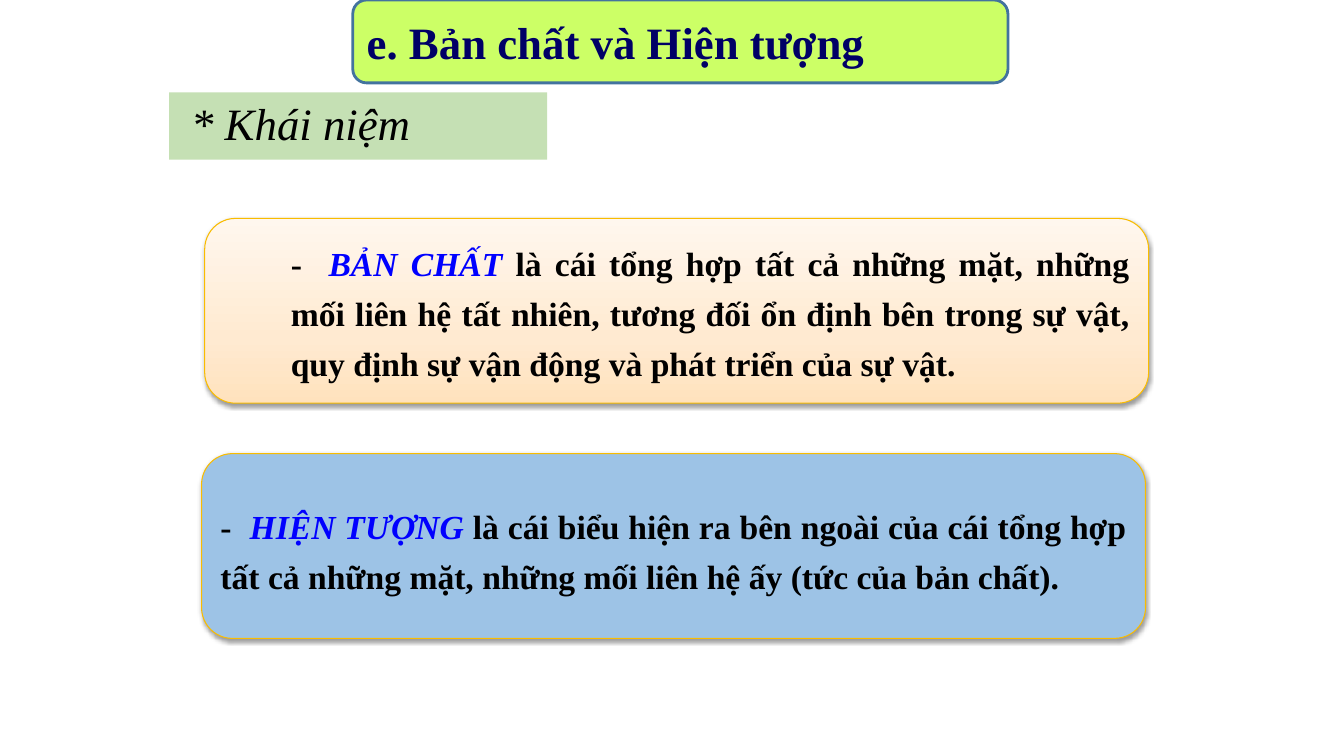
from copy import deepcopy

from lxml.etree import SubElement
from pptx import Presentation
from pptx.dml.color import RGBColor
from pptx.enum.shapes import MSO_SHAPE as Shape
from pptx.enum.text import MSO_ANCHOR as Anchor, PP_ALIGN as Align
from pptx.oxml.ns import qn
from pptx.util import Pt

PX = 9525
FONT = "Times New Roman"
COLORS = {
    "lime": "CCFF66", "outline": "43739E", "navy": "000066", "green": "C5E0B4",
    "gold": "F9BC00", "sky": "9DC3E6", "black": "000000", "blue": "0000FF",
    "peach": "FFE2BD", "cream": "FFEAD1", "ivory": "FFF7EE",
}


def color(name):
    return RGBColor.from_string(COLORS[name])


def add_run(paragraph, text, size, ink, bold=False, italic=False):
    run = paragraph.add_run()
    run.text = text
    run.font.name = FONT
    run.font.size = Pt(size)
    run.font.bold = bold
    run.font.italic = italic
    run.font.color.rgb = color(ink)


presentation = Presentation()
presentation.slide_width = 1280 * PX
presentation.slide_height = 720 * PX
slide = presentation.slides.add_slide(presentation.slide_layouts[5])

banner = slide.shapes.add_shape(Shape.ROUNDED_RECTANGLE, 336 * PX, 0, 624 * PX, 79 * PX)
banner.shadow.inherit = False
banner.fill.solid()
banner.fill.fore_color.rgb = color("lime")
banner.line.color.rgb = color("outline")
banner.line.width = Pt(2)
banner.text_frame.vertical_anchor = Anchor.MIDDLE
paragraph = banner.text_frame.paragraphs[0]
paragraph.alignment = Align.LEFT
add_run(paragraph, "e. Bản chất và Hiện tượng", 32, "navy", bold=True)

title = slide.shapes.title
title.left, title.top, title.width, title.height = 161 * PX, 88 * PX, 360 * PX, 64 * PX
title.fill.solid()
title.fill.fore_color.rgb = color("green")
title.text_frame.word_wrap = True
title.text_frame.vertical_anchor = Anchor.MIDDLE
title.text_frame.margin_left = 21 * PX
paragraph = title.text_frame.paragraphs[0]
paragraph.alignment = Align.LEFT
paragraph.line_spacing = 0.9
add_run(paragraph, "* Khái niệm", 32, "black", italic=True)

cards = [
    (195, 208, Anchor.TOP, 64, "BẢN CHẤT",
     " là cái tổng hợp tất cả những mặt, những mối liên hệ tất nhiên, tương đối ổn định "
     "bên trong sự vật, quy định sự vận động và phát triển của sự vật.",
     [(0, "peach"), (0.35, "cream"), (1, "ivory")]),
    (192, 432, Anchor.MIDDLE, 0, "HIỆN TƯỢNG",
     " là cái biểu hiện ra bên ngoài của cái tổng hợp tất cả những mặt, những mối liên hệ ấy "
     "(tức của bản chất).",
     [(0, "sky")]),
]
for left, top, anchor, indent, term, definition, stops in cards:
    card = slide.shapes.add_shape(
        Shape.ROUNDED_RECTANGLE, left * PX, top * PX, 899 * PX, 176 * PX)
    card.shadow.inherit = False
    properties = card._element.spPr
    if len(stops) == 1:
        card.fill.solid()
        card.fill.fore_color.rgb = color(stops[0][1])
    else:
        card.fill.gradient()
        card.fill.gradient_angle = 90
        stop_list = properties.find(qn("a:gradFill")).find(qn("a:gsLst"))
        stop_list.append(deepcopy(stop_list[-1]))
        for stop, (position, name) in zip(card.fill.gradient_stops, stops):
            stop.position = position
            stop.color.rgb = color(name)
    card.line.color.rgb = color("gold")
    card.line.width = Pt(0.75)

    shadow = SubElement(
        properties.find(qn("a:effectLst")), qn("a:outerShdw"),
        blurRad=str(Pt(3.1)), dist=str(Pt(1.6)), dir="5400000", rotWithShape="0")
    shadow_color = SubElement(shadow, qn("a:srgbClr"), val=COLORS["black"])
    SubElement(shadow_color, qn("a:alpha"), val="38000")

    card.text_frame.word_wrap = True
    card.text_frame.vertical_anchor = anchor
    paragraph = card.text_frame.paragraphs[0]
    paragraph.alignment = Align.JUSTIFY
    paragraph.line_spacing = 1.25
    paragraph._p.get_or_add_pPr().set("marL", str(indent * PX))
    add_run(paragraph, "-  ", 24, "black", bold=True)
    add_run(paragraph, term, 24, "blue", bold=True, italic=True)
    add_run(paragraph, definition, 24, "black", bold=True)

presentation.save("out.pptx")
